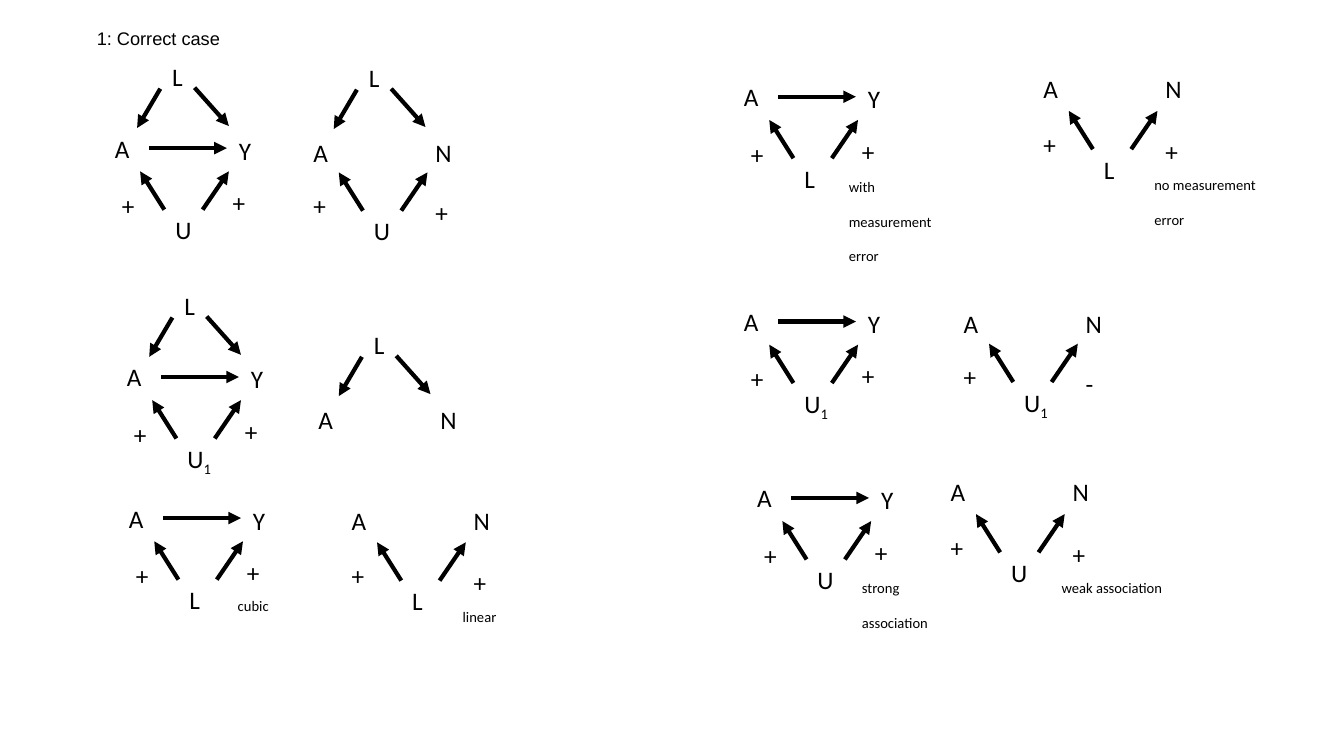
from dataclasses import dataclass

from lxml.etree import SubElement
from pptx import Presentation
from pptx.dml.color import RGBColor
from pptx.enum.shapes import MSO_CONNECTOR
from pptx.enum.text import MSO_ANCHOR, MSO_AUTO_SIZE, PP_ALIGN
from pptx.oxml.ns import qn
from pptx.slide import Slide
from pptx.util import Emu, Pt

COLORS = {"ink": "000000", "paper": "FFFFFF"}
WIDTHS = {"A": 35, "Y": 32, "N": 36, "U": 36, "L": 31, "+": 33, "-": 28, "U1": 45}
PX = 9144


def px(n):
    return Emu(n * PX)


def color(name):
    return RGBColor.from_string(COLORS[name])


def add_run(p, text, size=18, font="Calibri", ink="ink", sub=False):
    r = p.add_run()
    r.text = text
    r.font.size = Pt(size)
    r.font.name = font
    r.font.color.rgb = color(ink)
    if sub:
        r.font._element.set("baseline", "-25000")


@dataclass
class Diagram:
    s: Slide
    line_width: int = 3

    def title(self, x, y, w, h, text):
        sp = self.s.shapes.title
        sp.left, sp.top, sp.width, sp.height = px(x), px(y), px(w), px(h)
        tf = sp.text_frame
        tf.word_wrap = True
        tf.auto_size = MSO_AUTO_SIZE.SHAPE_TO_FIT_TEXT
        tf.vertical_anchor = MSO_ANCHOR.TOP
        p = tf.paragraphs[0]
        p.alignment = PP_ALIGN.LEFT
        add_run(p, text, size=13, font="Arial")

    def box(self, x, y, w, h, wrap=False):
        tf = self.s.shapes.add_textbox(px(x), px(y), px(w), px(h)).text_frame
        tf.word_wrap = wrap
        tf.auto_size = MSO_AUTO_SIZE.SHAPE_TO_FIT_TEXT
        return tf.paragraphs[0]

    def label(self, x, y, text):
        p = self.box(x, y, WIDTHS[text], 40)
        add_run(p, text[0])
        if text[1:]:
            add_run(p, text[1:], sub=True)

    def caption(self, x, y, w, h, text, wrap=True):
        add_run(self.box(x, y, w, h, wrap), text, sub=True)

    def arrow(self, x1, y1, x2, y2):
        c = self.s.shapes.add_connector(
            MSO_CONNECTOR.STRAIGHT, px(x1), px(y1), px(x2), px(y2))
        c.line.width = Pt(self.line_width)
        c.line.color.rgb = color("ink")
        SubElement(c.line._get_or_add_ln(), qn("a:tailEnd"), type="triangle")
        SubElement(c._element.spPr, qn("a:effectLst"))

    def confounder_above(self, x, y, text):
        self.label(x, y, text)
        self.arrow(x - 2, y + 32, x - 25, y + 71)
        self.arrow(x + 32, y + 31, x + 66, y + 69)

    def confounder_below(self, x, y, text):
        self.label(x, y, text)
        self.arrow(x - 1, y, x - 25, y - 38)
        self.arrow(x + 37, y, x + 63, y - 38)

    def outcome_graph(self, x, y, below, above=None):
        self.label(x, y, "A")
        self.label(x + 123, y + 2, "Y")
        self.arrow(x + 44, y + 20, x + 121, y + 20)
        self.confounder_below(x + 60, y + 81, below)
        self.label(x + 7, y + 57, "+")
        self.label(x + 117, y + 54, "+")
        if above:
            self.confounder_above(x + 57, y - 71, above)

    def control_graph(self, x, y, below=None, above=None, drop=80, sign="+"):
        self.label(x, y, "A")
        self.label(x + 121, y, "N")
        if below:
            self.confounder_below(x + 60, y + drop, below)
            self.label(x, y + drop - 25, "+")
            self.label(x + 121, y + drop - 18, sign)
        if above:
            self.confounder_above(x + 55, y - 74, above)


def main():
    prs = Presentation()
    prs.slide_width, prs.slide_height = px(1333), px(750)
    s = prs.slides.add_slide(prs.slide_layouts[5])
    s.background.fill.solid()
    s.background.fill.fore_color.rgb = color("paper")
    d = Diagram(s)
    d.title(86, 22, 181, 32, "1: Correct case")

    d.outcome_graph(104, 127, "U", above="L")
    d.control_graph(301, 131, "U", above="L", drop=78)

    d.outcome_graph(116, 354, "U1", above="L")
    d.control_graph(306, 396, above="L")

    d.outcome_graph(118, 494, "L")
    d.caption(226, 571, 56, 30, "cubic", wrap=False)
    d.control_graph(339, 496, "L")
    d.caption(449, 581, 59, 30, "linear", wrap=False)

    d.outcome_graph(728, 76, "L")
    d.caption(832, 155, 118, 71, "with measurement error")
    d.control_graph(1025, 68, "L")
    d.caption(1135, 153, 121, 71, "no measurement error")

    d.outcome_graph(728, 299, "U1")
    d.control_graph(946, 301, "U1", drop=78, sign="-")

    d.outcome_graph(741, 474, "U")
    d.caption(845, 553, 118, 50, "strong association")
    d.control_graph(933, 468, "U")
    d.caption(1043, 553, 121, 50, "weak association")

    prs.save("out.pptx")


if __name__ == "__main__":
    main()
